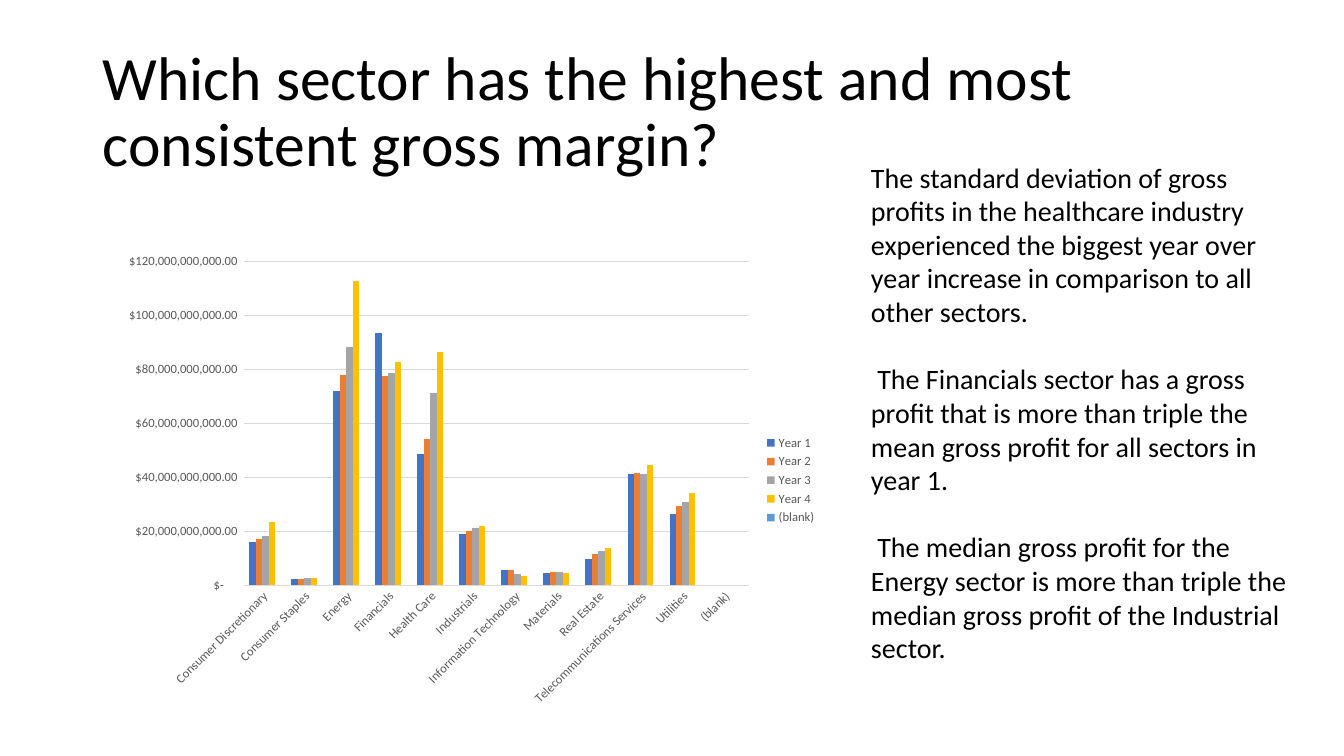
from pptx import Presentation
from pptx.chart.data import CategoryChartData
from pptx.dml.color import RGBColor
from pptx.enum.chart import XL_CHART_TYPE, XL_LEGEND_POSITION, XL_TICK_MARK
from pptx.enum.text import MSO_ANCHOR
from pptx.util import Inches, Pt

CLUSTERED = XL_CHART_TYPE.COLUMN_CLUSTERED
LEGEND_RIGHT = XL_LEGEND_POSITION.RIGHT
NO_TICK = XL_TICK_MARK.NONE
MIDDLE = MSO_ANCHOR.MIDDLE
TOP = MSO_ANCHOR.TOP
FONT = "Calibri"
BILLION = 10 ** 9


def set_font(font, size, color):
    font.name = FONT
    font.size = Pt(size)
    font.color.rgb = RGBColor.from_string(color)


def add_text(page, frame, paragraphs, size, anchor=TOP, line_spacing=None, gap=0, indent=0):
    box = page.shapes.add_textbox(*frame)
    body = box.text_frame
    body.word_wrap = True
    body.vertical_anchor = anchor
    for index, text in enumerate(paragraphs):
        para = body.paragraphs[0] if index == 0 else body.add_paragraph()
        para.line_spacing = line_spacing
        if index:
            para.space_before = Pt(gap)
            para._p.get_or_add_pPr().set("indent", str(Pt(indent)))
        span = para.add_run()
        span.text = text
        set_font(span.font, size, "000000")


deck = Presentation()
deck.slide_width = Inches(13.33)
deck.slide_height = Inches(7.5)
page = deck.slides.add_slide(deck.slide_layouts[6])

column = deck.slide_width / 100
row = deck.slide_height / 100
title_frame, chart_frame, notes_frame = [
    (int(left * column), int(top * row), int(width * column), int(height * row))
    for left, top, width, height in (
        (6.9, 5.33, 86.27, 19.33),
        (8.33, 32.4, 53.19, 62.27),
        (64.07, 20.53, 33.31, 72.67),
    )
]

add_text(
    page,
    title_frame,
    ["Which sector has the highest and most consistent gross margin?"],
    size=44,
    anchor=MIDDLE,
    line_spacing=0.9,
)

sectors = [
    "Consumer Discretionary", "Consumer Staples", "Energy", "Financials",
    "Health Care", "Industrials", "Information Technology", "Materials",
    "Real Estate", "Telecommunications Services", "Utilities", "(blank)",
]
profits = [
    ("Year 1", "4472C4", [16.2, 2.3, 72, 93.5, 48.7, 19, 5.6, 4.4, 9.7, 41.2, 26.3, None]),
    ("Year 2", "ED7D31", [17, 2.3, 77.9, 77.5, 54.1, 20, 5.6, 4.9, 11.6, 41.6, 29.3, None]),
    ("Year 3", "A5A5A5", [18.2, 2.6, 88.2, 78.6, 71.2, 21.2, 4.2, 4.8, 12.6, 41.2, 30.8, None]),
    ("Year 4", "FFC000", [23.5, 2.7, 112.7, 82.7, 86.4, 22, 3.4, 4.4, 13.8, 44.6, 34.2, None]),
    ("(blank)", "5B9BD5", [None] * len(sectors)),
]
chart_data = CategoryChartData()
chart_data.categories = sectors
for name, color, billions in profits:
    chart_data.add_series(
        name, [None if value is None else round(value * BILLION) for value in billions]
    )

chart = page.shapes.add_chart(CLUSTERED, *chart_frame, chart_data).chart
set_font(chart.font, 10, "000000")
chart.has_title = False
chart.has_legend = True
chart.legend.position = LEGEND_RIGHT
chart.legend.include_in_layout = False
set_font(chart.legend.font, 9, "595959")

plot = chart.plots[0]
plot.gap_width = 150
plot.overlap = 0
plot.vary_by_categories = False
for series, (name, color, billions) in zip(plot.series, profits):
    series.format.fill.solid()
    series.format.fill.fore_color.rgb = RGBColor.from_string(color)
    series.invert_if_negative = False

sector_axis, profit_axis = chart.category_axis, chart.value_axis
for axis in (sector_axis, profit_axis):
    axis.major_tick_mark = NO_TICK
    axis.minor_tick_mark = NO_TICK
    axis.format.line.fill.background()
    set_font(axis.tick_labels.font, 9, "595959")
sector_axis._element.txPr.bodyPr.set("rot", str(-45 * 60000))

profit_axis.minimum_scale = 0
profit_axis.maximum_scale = 120 * BILLION
profit_axis.major_unit = 20 * BILLION
profit_axis.tick_labels.number_format = (
    '_("$"* #,##0.00_);_("$"* \\(#,##0.00\\);_("$"* "-"??_);_(@_)'
)
profit_axis.tick_labels.number_format_is_linked = False
profit_axis.has_major_gridlines = True
gridline = profit_axis.major_gridlines.format.line
gridline.width = Pt(0.75)
gridline.color.rgb = RGBColor.from_string("D9D9D9")

findings = [
    "The standard deviation of gross profits in the healthcare industry experienced "
    "the biggest year over year increase in comparison to all other sectors.",
    "The Financials sector has a gross profit that is more than triple the mean gross "
    "profit for all sectors in year 1.",
    "The median gross profit for the Energy sector is more than triple the median gross "
    "profit of the Industrial sector.",
]
add_text(page, notes_frame, findings, size=20, gap=24, indent=4.5)

deck.save("out.pptx")
